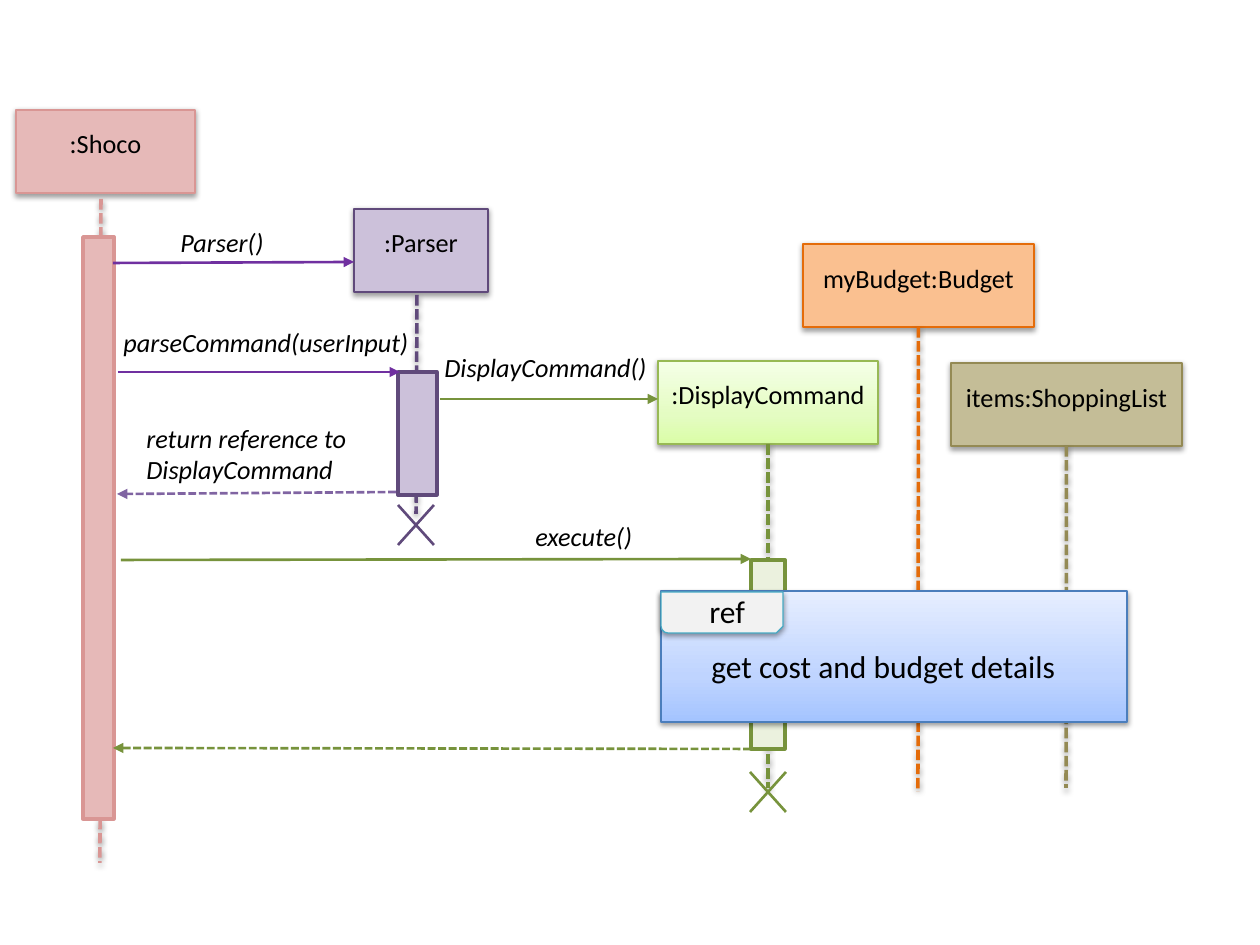
"""Build a sequence diagram of a command being parsed and executed."""
from lxml.etree import SubElement
from pptx import Presentation
from pptx.dml.color import RGBColor
from pptx.enum.dml import MSO_LINE
from pptx.enum.shapes import MSO_CONNECTOR, MSO_SHAPE as SHAPE
from pptx.enum.text import PP_ALIGN as ALIGN
from pptx.oxml.ns import qn
from pptx.util import Pt

PX = 914400 / 126
HEAD_H = 83
INK = {
    "black": "000000", "pink": "E6B9B8", "rose": "D99694",
    "lilac": "CCC1DA", "plum": "604A7B", "mauve": "8064A2",
    "violet": "7030A0", "olive": "77933C", "lime": "98B955",
    "pale": "EBF1DE", "peach": "FAC090", "orange": "E46C0A",
    "sand": "C4BD97", "khaki": "948A54", "blue": "4B7EBC",
    "teal": "46AAC5", "grey": "F2F2F2",
}
BLENDS = {
    "mint": [(0, "DAFDA7"), (35, "E4FCC2"), (100, "F5FFE7")],
    "sky": [(0, "A4C4FF"), (35, "BFD4FF"), (100, "E6EEFF")],
}
HEADS = {
    ":Shoco": (16, 110, 179, "pink", "rose"),
    ":Parser": (354, 209, 134, "lilac", "plum"),
    ":DisplayCommand": (658, 361, 220, "mint", "lime"),
    "myBudget:Budget": (803, 244, 231, "peach", "orange"),
    "items:ShoppingList": (951, 363, 231, "sand", "khaki"),
}
LIVES = [
    (None, (101, 199), (100, 863), "rose"),
    (None, (417, 295), (416, 514), "plum"),
    (":DisplayCommand", (768, 444), (768, 788), "olive"),
    ("myBudget:Budget", (918, 327), (918, 792), "orange"),
    ("items:ShoppingList", (1066, 446), (1066, 788), "khaki"),
]
BARS = [
    ((83, 237, 31, 582), "pink", "rose"),
    ((398, 372, 39, 123), "lilac", "plum"),
    ((751, 560, 34, 189), "pale", "olive"),
]
CALLS = [
    ((113, 263), (354, 262), "violet", False),
    ((118, 372), (400, 372), "violet", False),
    ((440, 399), (658, 399), "olive", False),
    ((396, 492), (117, 494), "mauve", True),
    ((121, 560), (751, 559), "olive", False),
    ((751, 749), (113, 748), "olive", True),
]
ENDS = [((416, 525), "plum"), ((768, 792), "olive")]
NOTES = [
    ("Parser()", (168, 220, 163, 44)),
    ("parseCommand(userInput)", (111, 320, 344, 44)),
    ("DisplayCommand()", (432, 345, 229, 44)),
    ("return reference to DisplayCommand", (134, 416, 236, 77)),
    ("execute()", (523, 514, 122, 44)),
]
FRAME = (661, 591, 466, 131)
TAB = (661, 592, 122, 41)
LABELS = [
    ("get cost and budget details", (699, 641, 436, 50)),
    ("ref", (697, 586, 72, 76)),
]


def emu(*nums):
    return [round(n * PX) for n in nums]


def rgb(name):
    return RGBColor.from_string(INK[name])


def shade(item, deep):
    fx = SubElement(item._element.spPr, qn("a:effectLst"))
    if deep:
        cast = SubElement(fx, qn("a:outerShdw"), blurRad="40000",
                          dist="20000", dir="5400000", rotWithShape="0")
        tone = SubElement(cast, qn("a:srgbClr"), val=INK["black"])
        SubElement(tone, qn("a:alpha"), val="38000")


def blend(fill, stops, item):
    fill.gradient()
    fill.gradient_angle = 90
    row = item._element.spPr.find(".//" + qn("a:gsLst"))
    for old in list(row):
        row.remove(old)
    for spot, tone in stops:
        stop = SubElement(row, qn("a:gs"), pos=str(spot * 1000))
        SubElement(stop, qn("a:srgbClr"), val=tone)


def box(area, fill, edge, width, deep=False, kind=SHAPE.RECTANGLE):
    item = slide.shapes.add_shape(kind, *emu(*area))
    if fill in BLENDS:
        blend(item.fill, BLENDS[fill], item)
    else:
        item.fill.solid()
        item.fill.fore_color.rgb = rgb(fill)
    item.line.color.rgb = rgb(edge)
    item.line.width = Pt(width)
    shade(item, deep)
    return item


def link(start, stop, tone, width=1.5, dash=False, arrow=False, deep=False):
    item = slide.shapes.add_connector(
        MSO_CONNECTOR.STRAIGHT, *emu(*start, *stop))
    item.line.color.rgb = rgb(tone)
    item.line.width = Pt(width)
    if dash:
        item.line.dash_style = MSO_LINE.SQUARE_DOT
    if arrow:
        SubElement(item.line._get_or_add_ln(), qn("a:tailEnd"),
                   type="triangle")
    shade(item, deep)
    return item


def write(item, text, size=15, slant=False, align=ALIGN.LEFT):
    frame = item.text_frame
    frame.word_wrap = True
    para = frame.paragraphs[0]
    para.text = text
    para.alignment = align
    para.font.name = "Calibri"
    para.font.size = Pt(size)
    para.font.italic = slant
    para.font.color.rgb = rgb("black")


def note(text, area, **form):
    write(slide.shapes.add_textbox(*emu(*area)), text, **form)


deck = Presentation()
deck.slide_width, deck.slide_height = emu(1260, 945)
slide = deck.slides.add_slide(deck.slide_layouts[6])

heads = {}
for name, (x, y, w, fill, edge) in HEADS.items():
    head = heads[name] = box((x, y, w, HEAD_H), fill, edge, 1.5, deep=True)
    write(head, name, align=ALIGN.CENTER)
    head.text_frame.margin_top, head.text_frame.margin_bottom = emu(17, 33)

for name, start, stop, tone in LIVES:
    life = link(start, stop, tone, width=2, dash=True, deep=True)
    if name:
        life.begin_connect(heads[name], 2)

for area, fill, edge in BARS:
    box(area, fill, edge, 2)

for start, stop, tone, dash in CALLS:
    link(start, stop, tone, dash=dash, arrow=True)

for (x, y), tone in ENDS:
    for rise in (-20, 20):
        link((x - 18, y - rise), (x + 18, y + rise), tone)

box(FRAME, "sky", "blue", 0.75, deep=True)
tab = box(TAB, "grey", "teal", 0.75, deep=True,
          kind=SHAPE.SNIP_ROUND_RECTANGLE)
tab.rotation = 180
tab._element.spPr.xfrm.set("flipH", "1")

for text, area in NOTES:
    note(text, area, slant=True)
for text, area in LABELS:
    note(text, area, size=18)

deck.save("out.pptx")
